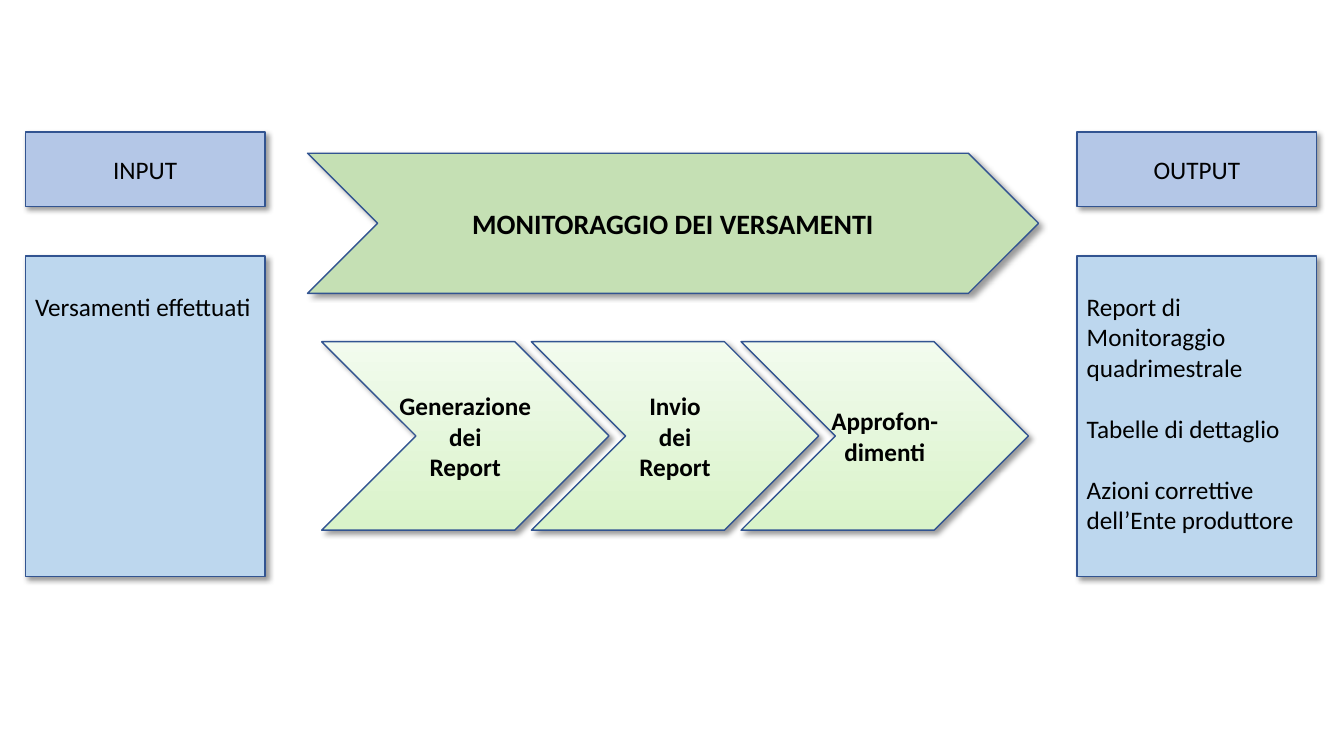
from dataclasses import dataclass

from lxml.etree import SubElement
from pptx import Presentation
from pptx.dml.color import RGBColor
from pptx.enum.shapes import MSO_SHAPE
from pptx.enum.text import MSO_ANCHOR, PP_ALIGN
from pptx.oxml.ns import qn
from pptx.shapes.autoshape import Shape
from pptx.slide import Slide
from pptx.util import Inches, Pt


@dataclass(frozen=True)
class Theme:
    font: str = "Calibri"
    body_size: int = 18
    title_size: int = 20
    text: str = "000000"
    outline: str = "325491"
    shadow: str = "000000"
    header: str = "B4C7E7"
    panel: str = "BDD7EE"
    process: str = "C5E0B4"
    step_bottom: str = "D9F3C9"
    step_top: str = "F2FBEE"


THEME = Theme()


@dataclass(frozen=True)
class Block:
    left: float
    top: float
    width: float
    height: float
    paragraphs: tuple[str, ...]
    colours: tuple[str, ...]
    preset: MSO_SHAPE = MSO_SHAPE.RECTANGLE
    size: int = THEME.body_size
    bold: bool = False
    wrap: bool = True
    listing: bool = False


@dataclass(frozen=True)
class Column:
    left: float
    header: str
    items: tuple[str, ...]


COLUMNS = (
    Column(0.25, "INPUT", ("Versamenti effettuati",)),
    Column(10.68, "OUTPUT", (
        "Report di Monitoraggio quadrimestrale",
        "Tabelle di dettaglio",
        "Azioni correttive dell’Ente produttore",
    )),
)
STEPS = ("Generazione\ndei\nReport", "Invio\ndei\nReport", "Approfon-\ndimenti")
STEP_LEFT, STEP_PITCH = 3.19, 2.08
ITEM_GAP = Pt(22)
LIST_INSET = Inches(0.35)


def add_shadow(shape: Shape) -> None:
    shape.shadow.inherit = False
    effects = shape.element.spPr.find(qn("a:effectLst"))
    settings = {"blurRad": Pt(4), "dist": Pt(3), "dir": 45 * 60000,
                "algn": "tl", "rotWithShape": 0}
    outer = SubElement(effects, qn("a:outerShdw"),
                       {key: str(value) for key, value in settings.items()})
    colour = SubElement(outer, qn("a:srgbClr"), val=THEME.shadow)
    SubElement(colour, qn("a:alpha"), val="40000")


def paint(shape: Shape, colours: tuple[str, ...]) -> None:
    """Fill with one colour, or with a gradient from bottom to top for two."""
    if len(colours) == 1:
        shape.fill.solid()
        shape.fill.fore_color.rgb = RGBColor.from_string(colours[0])
    else:
        shape.fill.gradient()
        shape.fill.gradient_angle = 90
        for stop, colour in zip(shape.fill.gradient_stops, colours):
            stop.color.rgb = RGBColor.from_string(colour)
    shape.line.color.rgb = RGBColor.from_string(THEME.outline)
    shape.line.width = Pt(1)


def write(shape: Shape, block: Block) -> None:
    frame = shape.text_frame
    frame.word_wrap = block.wrap
    frame.vertical_anchor = MSO_ANCHOR.TOP if block.listing else MSO_ANCHOR.MIDDLE
    if block.listing:
        frame.margin_top = LIST_INSET
    font_format = {"name": THEME.font, "size": Pt(block.size), "bold": block.bold}
    for index, text in enumerate(block.paragraphs):
        paragraph = frame.add_paragraph() if index else frame.paragraphs[0]
        paragraph.text = text
        paragraph.alignment = PP_ALIGN.LEFT if block.listing else PP_ALIGN.CENTER
        if index:
            paragraph.space_before = ITEM_GAP
        for span in paragraph.runs:
            for name, value in font_format.items():
                setattr(span.font, name, value)
            span.font.color.rgb = RGBColor.from_string(THEME.text)


def add_block(page: Slide, block: Block) -> None:
    lengths = (block.left, block.top, block.width, block.height)
    shape = page.shapes.add_shape(block.preset, *map(Inches, lengths))
    paint(shape, block.colours)
    add_shadow(shape)
    write(shape, block)


def main() -> None:
    deck = Presentation()
    deck.slide_width, deck.slide_height = Inches(13.33), Inches(7.5)
    page = deck.slides.add_slide(deck.slide_layouts[6])

    for column in COLUMNS:
        add_block(page, Block(column.left, 1.31, 2.38, 0.74,
                              (column.header,), (THEME.header,)))
        add_block(page, Block(column.left, 2.54, 2.38, 3.18,
                              column.items, (THEME.panel,), listing=True))

    add_block(page, Block(3.05, 1.52, 7.25, 1.39,
                          ("MONITORAGGIO DEI VERSAMENTI",), (THEME.process,),
                          MSO_SHAPE.CHEVRON, THEME.title_size, bold=True))
    for index, step in enumerate(STEPS):
        add_block(page, Block(STEP_LEFT + index * STEP_PITCH, 3.39, 2.85, 1.87,
                              (step,), (THEME.step_bottom, THEME.step_top),
                              MSO_SHAPE.CHEVRON, bold=True, wrap=False))
    deck.save("out.pptx")


if __name__ == "__main__":
    main()
